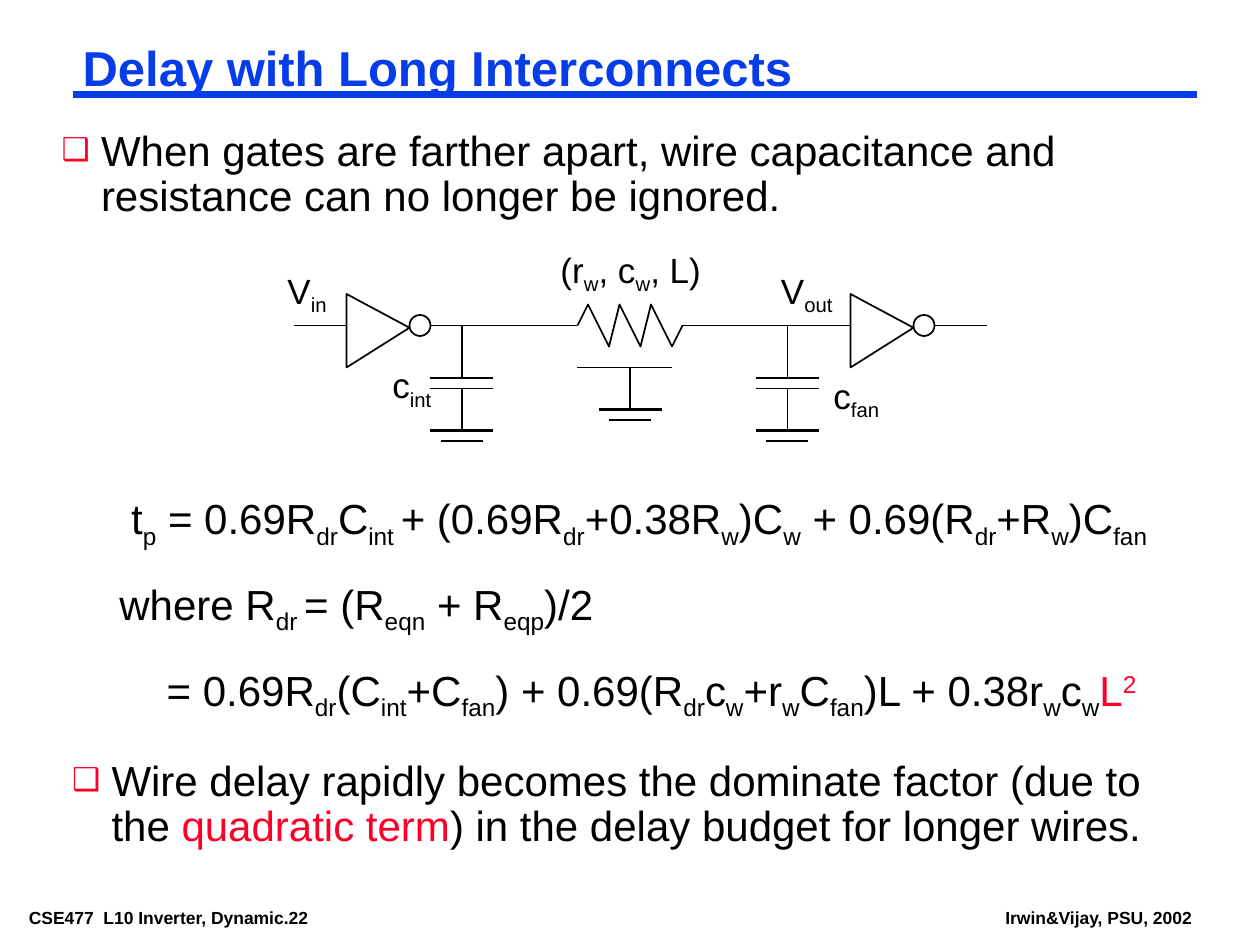
"""Build the slide on gate delay with long interconnects."""
from lxml import etree
from pptx import Presentation
from pptx.dml.color import RGBColor
from pptx.enum.shapes import MSO_CONNECTOR, MSO_SHAPE
from pptx.oxml.ns import qn
from pptx.util import Pt

PX = 9525
STRAIGHT = MSO_CONNECTOR.STRAIGHT
TRIANGLE = MSO_SHAPE.ISOSCELES_TRIANGLE
OVAL = MSO_SHAPE.OVAL
COLORS = {"ink": "000000", "title": "063DE8", "accent": "FC0128"}
SPAN_STYLES = {"_": (-25000, None), "*": (0, "accent"), "^": (30000, "accent")}

deck = Presentation()
deck.slide_width, deck.slide_height = 960 * PX, 720 * PX
page = deck.slides.add_slide(deck.slide_layouts[6])


def add_text(frame, lines, size, insets=(7, 3), color="ink", bold=False,
             spacing=None, indents=(0,), bullet=False):
    """Add a text box; "|" parts spans, and a leading _, * or ^ styles one."""
    box = page.shapes.add_textbox(*(value * PX for value in frame))
    text = box.text_frame
    text.word_wrap = True
    text.margin_left = text.margin_right = insets[0] * PX
    text.margin_top = text.margin_bottom = insets[1] * PX
    for index, line in enumerate(lines):
        para = text.add_paragraph() if index else text.paragraphs[0]
        props = para._p.get_or_add_pPr()
        props.set("marL", str(indents[index] * PX))
        if bullet:
            props.set("indent", str(-indents[index] * PX))
            tint = etree.SubElement(props, qn("a:buClr"))
            etree.SubElement(tint, qn("a:srgbClr"), val=COLORS["accent"])
            etree.SubElement(props, qn("a:buSzPct"), val="75000")
            etree.SubElement(props, qn("a:buFont"), typeface="Arial")
            etree.SubElement(props, qn("a:buChar"), char="❑")
        if spacing:
            para.line_spacing = spacing
        if index:
            para.space_before = Pt(19.5)
        para.font.name, para.font.size, para.font.bold = "Arial", Pt(size), bold
        para.font.color.rgb = RGBColor.from_string(COLORS[color])
        for piece in line.split("|"):
            baseline, tone = SPAN_STYLES.get(piece[0], (0, None))
            span = para.add_run()
            span.text = piece[1:] if piece[0] in SPAN_STYLES else piece
            if baseline:
                span._r.get_or_add_rPr().set("baseline", str(baseline))
            if tone:
                span.font.color.rgb = RGBColor.from_string(COLORS[tone])


def add_line(x1, y1, x2, y2, width=1, color="ink"):
    """Add a straight line without a shadow."""
    line = page.shapes.add_connector(STRAIGHT, x1 * PX, y1 * PX, x2 * PX, y2 * PX)
    line.line.width = Pt(width)
    line.line.color.rgb = RGBColor.from_string(COLORS[color])
    etree.SubElement(line._element.spPr, qn("a:effectLst"))


add_line(56, 72, 912, 72, 4.5, "title")
add_text((56, 32, 856, 44), ["Delay with Long Interconnects"], 28,
         color="title", bold=True, spacing=0.87)
for left, width, footer in ((15, 288, "CSE477  L10 Inverter, Dynamic.22"),
                            (759, 168, "Irwin&Vijay, PSU, 2002")):
    add_text((left, 688, width, 21), [footer], 10, bold=True)

bullets = (
    ((40, 96, 880, 75), "When gates are farther apart, wire capacitance and "
     "resistance can no longer be ignored."),
    ((48, 576, 872, 75), "Wire delay rapidly becomes the dominate factor (due to the "
     "|*quadratic term|) in the delay budget for longer wires."),
)
for frame, sentence in bullets:
    add_text(frame, [sentence], 24, spacing=0.9, indents=(30,), bullet=True)

equations = [
    "t|_p| = 0.69R|_dr|C|_int |+ (0.69R|_dr|+0.38R|_w|)C|_w"
    "| + 0.69(R|_dr|+R|_w|)C|_fan",
    "where R|_dr |= (R|_eqn| + R|_eqp|)/2",
    "= 0.69R|_dr|(C|_int|+C|_fan|) + 0.69(R|_dr|c|_w|+r|_w|C|_fan"
    "|)L + 0.38r|_w|c|_w|*L|^2",
]
add_text((40, 373, 880, 180), equations, 24, spacing=0.9, indents=(53, 44, 80))

inverter_parts = []
for left in (264, 648):
    triangle = page.shapes.add_shape(TRIANGLE, (left - 4) * PX, 228 * PX, 56 * PX, 48 * PX)
    triangle.rotation = 90
    triangle.adjustments[0] = 0.46
    bubble = page.shapes.add_shape(OVAL, (left + 48) * PX, 240 * PX, 16 * PX, 16 * PX)
    inverter_parts += [triangle, bubble]

zigzag = [(448, 232), (464, 264), (472, 232), (488, 264), (496, 232), (512, 264), (520, 248)]
builder = page.shapes.build_freeform(440, 248, scale=PX)
builder.add_line_segments(zigzag, close=False)
resistor = builder.convert_to_shape()
for shape in inverter_parts + [resistor]:
    shape.shadow.inherit = False
    shape.fill.background()
    shape.line.width = Pt(1)
    shape.line.color.rgb = RGBColor.from_string(COLORS["ink"])

for start, end in ((224, 264), (328, 440), (520, 648), (712, 752)):
    add_line(start, 248, end, 248)
for center in (352, 600):
    add_line(center, 248, center, 288)
    for plate in (288, 296):
        add_line(center - 24, plate, center + 24, plate)
    add_line(center, 296, center, 328)
add_line(440, 280, 512, 280)
add_line(480, 280, 480, 312)
for center, top in ((352, 328), (480, 312), (600, 328)):
    add_line(center - 24, top, center + 24, top, 2.25)
    add_line(center - 16, top + 8, center + 16, top + 8)

labels = (
    (209, 200, 64, "V|_in"),
    (585, 200, 74, "V|_out"),
    (289, 272, 64, "c|_int"),
    (625, 280, 69, "c|_fan"),
    (417, 184, 146, "(r|_w|, c|_w|, L)"),
)
for left, top, width, label in labels:
    add_text((left, top, width, 46), [label], 20, insets=(10, 5))

deck.save("out.pptx")
